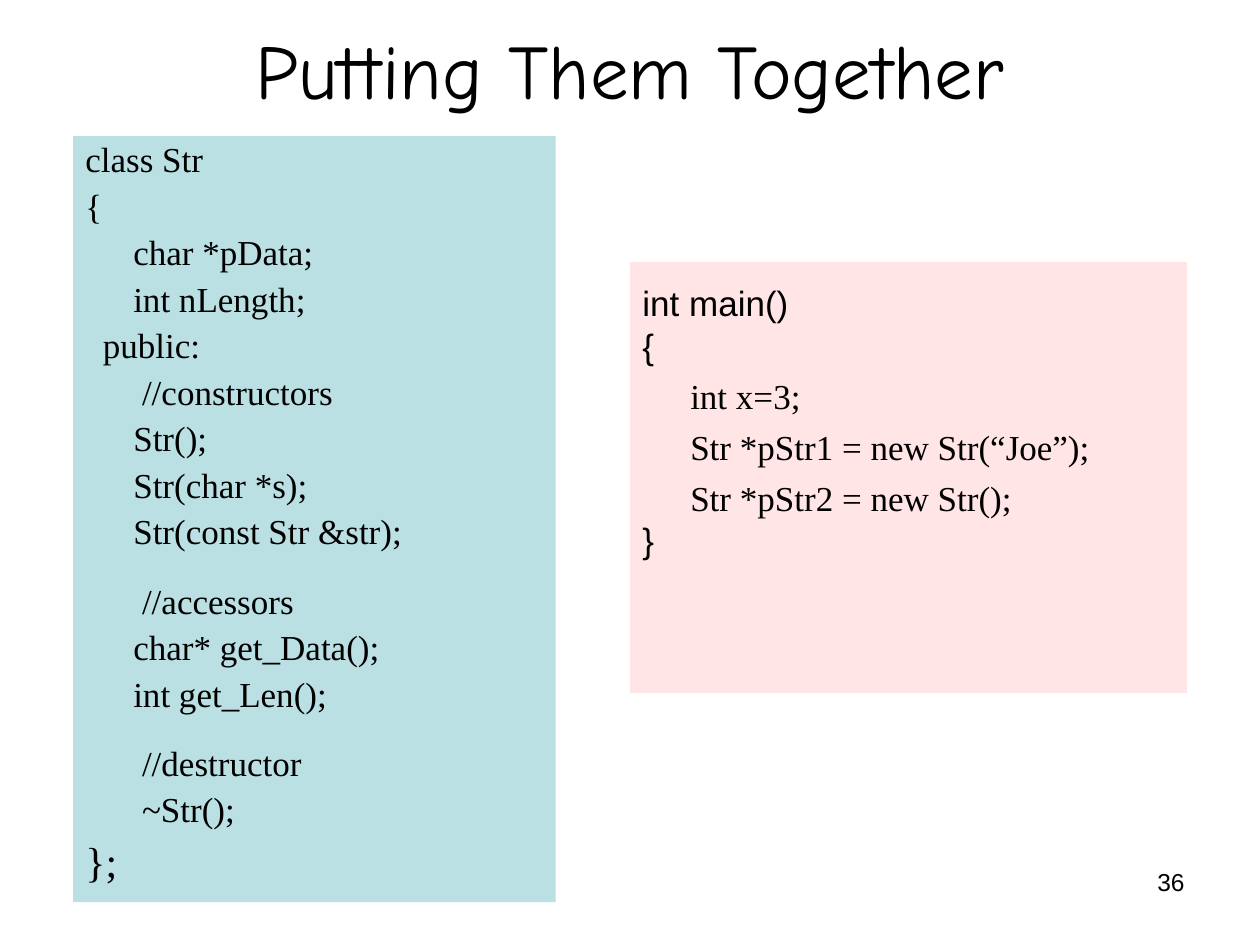
from pptx import Presentation
from pptx.dml.color import RGBColor
from pptx.enum.shapes import MSO_SHAPE
from pptx.enum.text import MSO_ANCHOR, PP_ALIGN
from pptx.util import Inches, Pt


def color(value):
    return RGBColor.from_string(value)


def write(frame, text, size=20, font="Times New Roman", align=PP_ALIGN.LEFT,
          before=0, spacing=1.0, hanging=0, first=False):
    para = frame.paragraphs[0] if first else frame.add_paragraph()
    para.alignment = align
    para.space_before = Pt(before)
    para.line_spacing = spacing
    if hanging:
        properties = para._p.get_or_add_pPr()
        properties.set("marL", str(Inches(hanging)))
        properties.set("indent", str(-Inches(hanging)))
    span = para.add_run()
    span.text = text
    span.font.size = Pt(size)
    span.font.name = font
    span.font.color.rgb = color("000000")


deck = Presentation()
deck.slide_width, deck.slide_height = Inches(10), Inches(7.5)
page = deck.slides.add_slide(deck.slide_layouts[6])

# Title and page number
labels = [
    ("Putting Them Together", (0, 0.17, 10, 0.75), 44, "Comic Neue",
     PP_ALIGN.CENTER, MSO_ANCHOR.MIDDLE),
    ("36", (7.17, 6.83, 2.33, 0.52), 14, "Arial",
     PP_ALIGN.RIGHT, MSO_ANCHOR.TOP),
]
for text, place, size, font, align, anchor in labels:
    box = page.shapes.add_textbox(*map(Inches, place))
    box.text_frame.word_wrap = True
    box.text_frame.vertical_anchor = anchor
    write(box.text_frame, text, size=size, font=font, align=align, first=True)

# Code lines, each with the format that differs from the default
body = {"spacing": 0.9, "before": 5}
group = {"spacing": 0.9, "before": 18}
frame_line = {"spacing": 0.8, "before": 5, "font": "Arial"}
statement = {"before": 5}

class_lines = [
    ("class Str", {"spacing": 0.9}),
    ("{", body),
    ("\tchar *pData;", body),
    ("\tint nLength;", body),
    ("  public:", body),
    ("\t //constructors", body),
    ("\tStr();", body),
    ("\tStr(char *s);", body),
    ("\tStr(const Str &str);", body),
    ("\t //accessors", group),
    ("\tchar* get_Data();", body),
    ("\tint get_Len();", body),
    ("\t //destructor", group),
    ("\t ~Str();", body),
    ("};", {"spacing": 0.9, "before": 6, "size": 24}),
]
main_lines = [
    ("int main()", {"spacing": 0.8, "font": "Arial"}),
    ("{", frame_line),
    ("\tint x=3;", statement),
    ("\tStr *pStr1 = new Str(“Joe”);", statement),
    ("\tStr *pStr2 = new Str();", statement),
    ("}", frame_line),
]

# Code panels
panels = [
    ((0.58, 1.08, 3.83, 6.08), "BBE0E3", 0.05, class_lines),
    ((5, 2.08, 4.42, 3.42), "FFE5E5", 0.22, main_lines),
]
for place, fill, top_margin, lines in panels:
    panel = page.shapes.add_shape(MSO_SHAPE.RECTANGLE, *map(Inches, place))
    panel.shadow.inherit = False
    panel.fill.solid()
    panel.fill.fore_color.rgb = color(fill)
    panel.line.fill.background()
    frame = panel.text_frame
    frame.word_wrap = True
    frame.vertical_anchor = MSO_ANCHOR.TOP
    frame.margin_top = Inches(top_margin)
    for number, (text, style) in enumerate(lines):
        write(frame, text, hanging=0.38, first=number == 0, **style)

deck.save("out.pptx")
